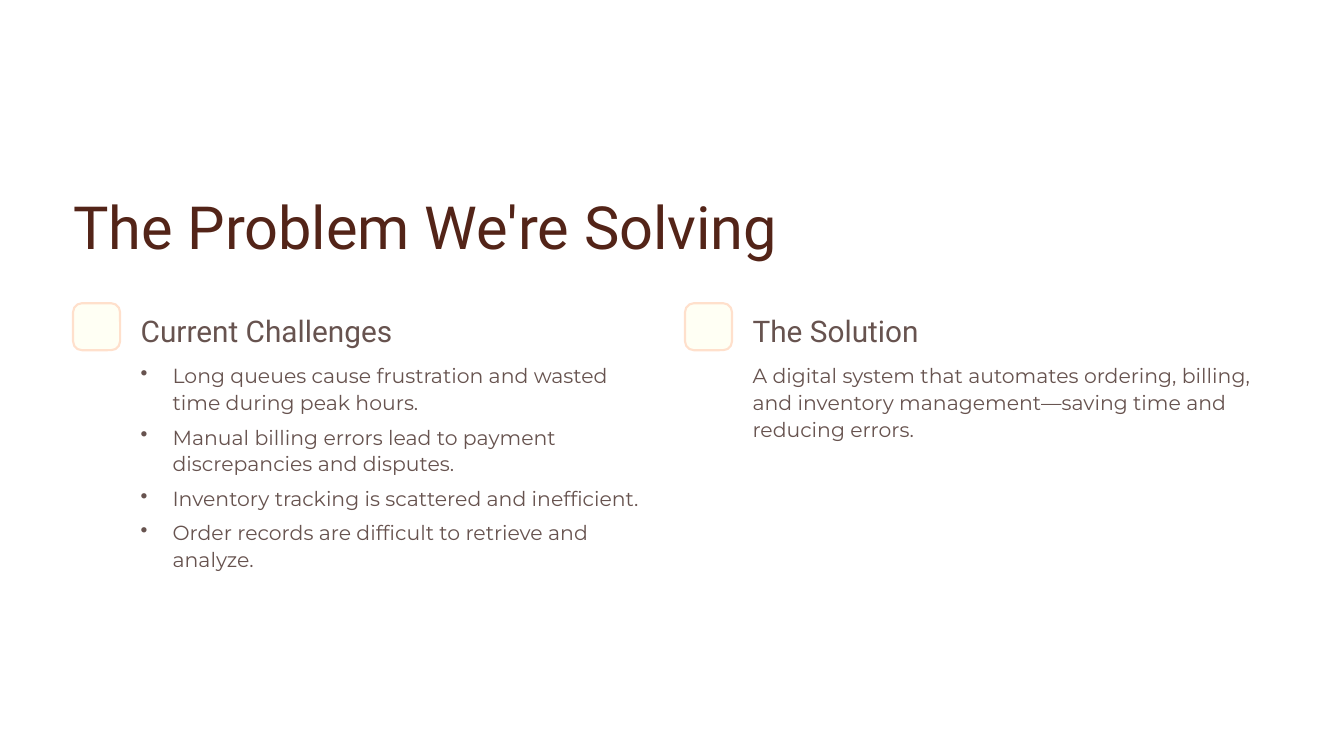
from lxml import etree
from pptx import Presentation
from pptx.dml.color import RGBColor
from pptx.enum.shapes import MSO_SHAPE
from pptx.oxml.ns import qn
from pptx.util import Inches, Pt

ROUND = MSO_SHAPE.ROUNDED_RECTANGLE

# Content
TITLE = "The Problem We're Solving"
COLUMNS = [
    ("Current Challenges", True, [
        "Long queues cause frustration and wasted time during peak hours.",
        "Manual billing errors lead to payment discrepancies and disputes.",
        "Inventory tracking is scattered and inefficient.",
        "Order records are difficult to retrieve and analyze.",
    ]),
    ("The Solution", False, [
        "A digital system that automates ordering, billing, and inventory "
        "management—saving time and reducing errors.",
    ]),
]

# Theme: each text style is font, size, line pitch, colour
THEME = {
    "title": ("Roboto", 51, 66.5, "532418"),
    "head": ("Roboto", 25.5, 33, "67534F"),
    "body": ("Montserrat", 17.5, 23, "67534F"),
    "fill": "FFFFF4",
    "line": "FFE0CC",
}

# Layout in inches
LEFT, STEP = 0.87, 7.285
BADGE, INDENT = 0.56, 0.805
TEXT_W, HANG = 6.17, 0.38
GAP = 6.5  # points between list items


def add_text(slide, x, y, w, h, lines, style, bullets=False):
    font, size, pitch, color = THEME[style]
    box = slide.shapes.add_textbox(Inches(x), Inches(y), Inches(w), Inches(h))
    frame = box.text_frame
    frame.word_wrap = True
    frame.margin_left = frame.margin_right = 0
    frame.margin_top = frame.margin_bottom = 0
    frame.text = "\n".join(lines)
    for i, para in enumerate(frame.paragraphs):
        para.line_spacing = Pt(pitch)
        if i:
            para.space_before = Pt(GAP)
        if bullets:
            props = para._p.get_or_add_pPr()
            props.set("marL", str(Inches(HANG)))
            props.set("indent", str(-Inches(HANG)))
            etree.SubElement(props, qn("a:buChar"), char="•")
        for run in para.runs:
            run.font.name = font
            run.font.size = Pt(size)
            run.font.color.rgb = RGBColor.from_string(color)


def add_badge(slide, x, y):
    badge = slide.shapes.add_shape(
        ROUND, Inches(x), Inches(y), Inches(BADGE), Inches(BADGE))
    badge.adjustments[0] = 0.19
    badge.shadow.inherit = False
    badge.fill.solid()
    badge.fill.fore_color.rgb = RGBColor.from_string(THEME["fill"])
    badge.line.color.rgb = RGBColor.from_string(THEME["line"])
    badge.line.width = Pt(1.8)


def main():
    deck = Presentation()
    deck.slide_width, deck.slide_height = Inches(16), Inches(9)
    slide = deck.slides.add_slide(deck.slide_layouts[6])

    # Title
    add_text(slide, LEFT, 2.19, 8.67, 0.93, [TITLE], "title")

    # Columns: badge, heading, body
    for i, (head, bullets, lines) in enumerate(COLUMNS):
        x = LEFT + i * STEP
        add_badge(slide, x, 3.61)
        add_text(slide, x + INDENT, 3.69, 3.57, 0.46, [head], "head")
        height = 2.51 if bullets else 0.97
        add_text(slide, x + INDENT, 4.3, TEXT_W, height, lines, "body", bullets)

    deck.save("out.pptx")


if __name__ == "__main__":
    main()
